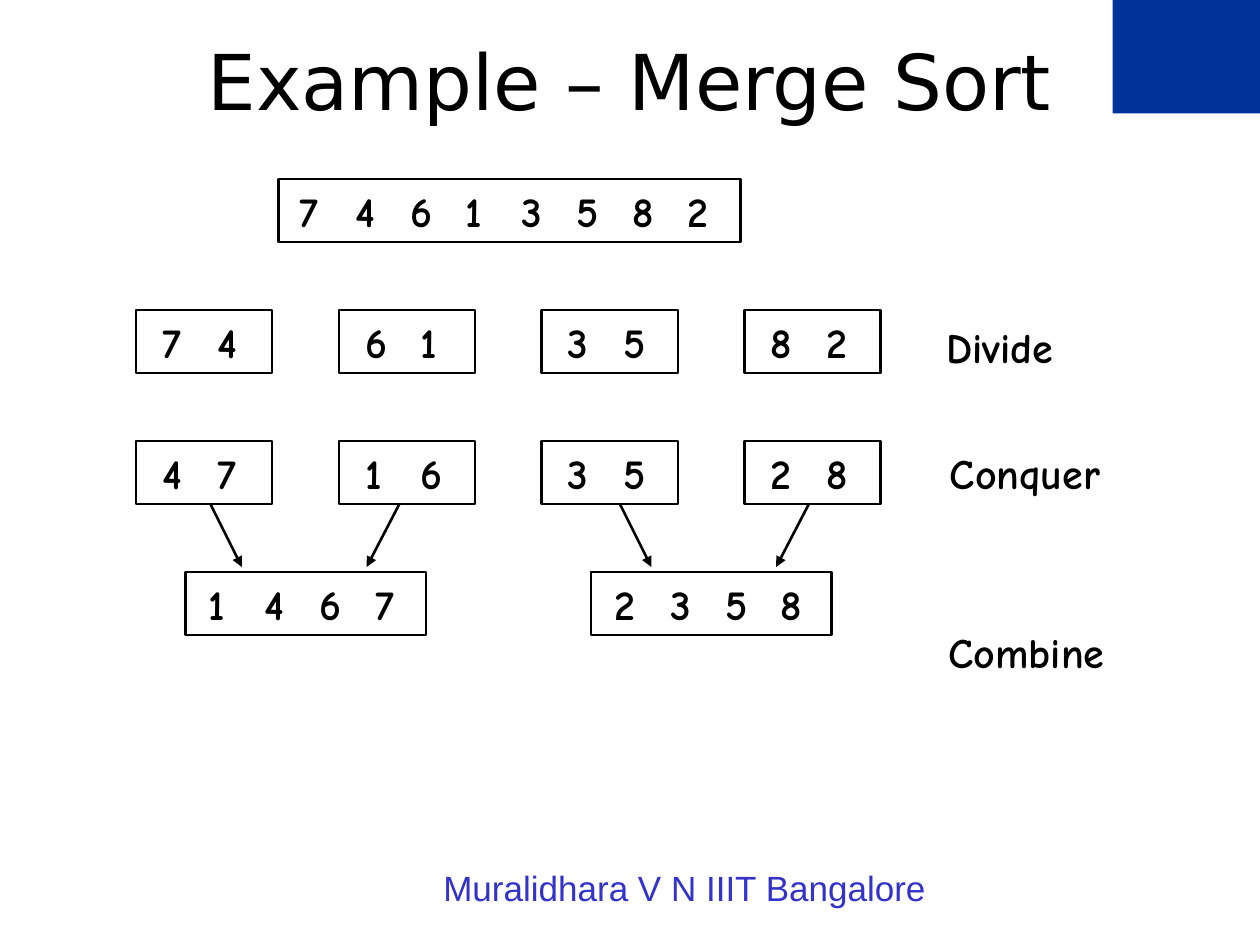
from lxml import etree
from pptx import Presentation
from pptx.dml.color import RGBColor
from pptx.enum.shapes import MSO_CONNECTOR, MSO_SHAPE
from pptx.enum.text import MSO_ANCHOR, MSO_AUTO_SIZE, PP_ALIGN
from pptx.oxml.ns import qn
from pptx.util import Inches, Pt

RECT = MSO_SHAPE.RECTANGLE
LINE = MSO_CONNECTOR.STRAIGHT
GROW = MSO_AUTO_SIZE.SHAPE_TO_FIT_TEXT
MID = MSO_ANCHOR.MIDDLE
LEFT, CENTER = PP_ALIGN.LEFT, PP_ALIGN.CENTER
BLACK = RGBColor(0, 0, 0)
NAVY = RGBColor(0x00, 0x33, 0x99)
BLUE = RGBColor(0x33, 0x33, 0xCC)

# Content
TITLE = "Example – Merge Sort"
FOOTER = "Muralidhara V N IIIT Bangalore"
# Each level: lists, left of the first, step to the next, box width, inset
LEVELS = [
    (["74613582"], 2.21, 0, 3.67, 0.07),
    (["74", "61", "35", "82"], 1.08, 1.61, 1.08, 0.11),
    (["47", "16", "35", "28"], 1.08, 1.61, 1.08, 0.11),
    (["1467", "2358"], 1.47, 3.22, 1.91, 0.09),
]
LABELS = [("Divide", 7.41, 2.5, 1.39), ("Conquer", 7.44, 3.5, 1.77),
          ("Combine", 7.43, 4.92, 1.84)]
ARROWS = [(1.67, 1.92), (3.17, 2.91)]

# Grid
TOP, ROW, BOX, DIGIT = 1.42, 1.04, 0.5, 0.44
HALF = 3.25

deck = Presentation()
deck.slide_width, deck.slide_height = Inches(10), Inches(7.5)
slide = deck.slides.add_slide(deck.slide_layouts[6])
shapes = slide.shapes


def add_text(text, x, y, w, h, size=24, font="Comic Neue", color=BLACK,
             bold=True, align=LEFT, wrap=False):
    box = shapes.add_textbox(Inches(x), Inches(y), Inches(w), Inches(h))
    frame = box.text_frame
    frame.word_wrap = wrap
    if not wrap:
        frame.auto_size = GROW
    para = frame.paragraphs[0]
    para.alignment = align
    run = para.add_run()
    run.text = text
    run.font.size, run.font.name = Pt(size), font
    run.font.bold = bold
    run.font.color.rgb = color
    return frame


def add_box(x, y, w, h):
    box = shapes.add_shape(RECT, Inches(x), Inches(y), Inches(w), Inches(h))
    box.shadow.inherit = False
    return box


def add_arrow(x1, y1, x2, y2):
    line = shapes.add_connector(LINE, Inches(x1), Inches(y1),
                                Inches(x2), Inches(y2))
    line.line.color.rgb = BLACK
    line.line.width = Pt(1.5)
    etree.SubElement(line.line._get_or_add_ln(), qn("a:tailEnd"),
                     type="triangle")
    etree.SubElement(line._element.spPr, qn("a:effectLst"))


# Corner block and title
corner = add_box(8.83, 0, 1.17, 0.9)
corner.fill.solid()
corner.fill.fore_color.rgb = NAVY
corner.line.fill.background()
title = add_text(TITLE, 0.75, 0.17, 8.5, 0.92, 44, "DejaVu Sans",
                 bold=False, align=CENTER, wrap=True)
title.vertical_anchor = MID

# Boxed lists, one level per row
for row, (lists, left, step, width, inset) in enumerate(LEVELS):
    y = TOP + row * ROW
    for col, digits in enumerate(lists):
        x = left + col * step
        for place, digit in enumerate(digits):
            add_text(digit, x + inset + place * DIGIT, y, 0.43, BOX)
        box = add_box(x, y, width, BOX)
        box.fill.background()
        box.line.color.rgb = BLACK
        box.line.width = Pt(1.5)

# Step labels
for text, x, y, w in LABELS:
    add_text(text, x, y, w, BOX)

# Merge arrows, the same pair in each half
for half in range(2):
    for start, end in ARROWS:
        add_arrow(start + half * HALF, 4, end + half * HALF, 4.5)

# Footer
add_text(FOOTER, 3.42, 6.83, 4.17, 0.52, 20, "Arial", BLUE,
         bold=False, wrap=True)

deck.save("out.pptx")
